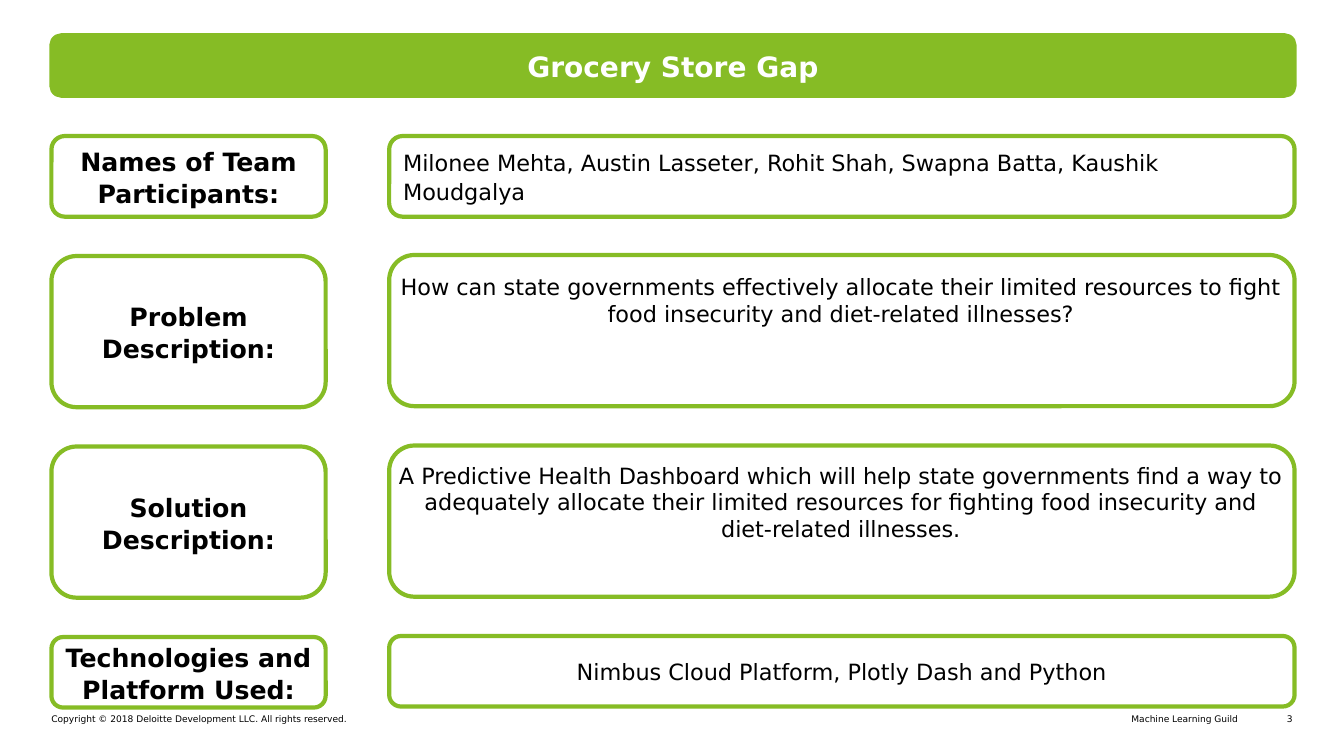
"""Builds the project summary slide of the Grocery Store Gap team."""
from pptx import Presentation
from pptx import util as u
from pptx.dml.color import RGBColor
from pptx.enum import shapes, text

LEFT, MID, RIGHT = text.PP_ALIGN.LEFT, text.PP_ALIGN.CENTER, text.PP_ALIGN.RIGHT


class Deck:
    """Holds the style and the current slide."""
    px = 9144
    face = "DejaVu Sans"
    hues = {"green": "86BC25", "white": "FFFFFF", "black": "000000"}

    def __init__(self, wide, high):
        self.prs = Presentation()
        self.prs.slide_width = self.px * wide
        self.prs.slide_height = self.px * high
        self.slide = self.prs.slides.add_slide(self.prs.slide_layouts[6])

    def hue(self, name):
        return RGBColor.from_string(self.hues[name])

    def area(self, *nums):
        return [n * self.px for n in nums]

    def label(self, shape, words, size, align, pad, hue="black", bold=False, space=None):
        frame = shape.text_frame
        frame.word_wrap = True
        frame.margin_left = frame.margin_right = pad * self.px
        frame.margin_top = frame.margin_bottom = pad * self.px
        para = frame.paragraphs[0]
        para.text = words
        para.alignment = align
        para.line_spacing = space
        font = para.font
        font.name, font.size, font.bold = self.face, u.Pt(size), bold
        font.color.rgb = self.hue(hue)

    def box(self, area, words="", size=16, align=MID, hue="black", bold=False, fill=None):
        kind = shapes.MSO_SHAPE.ROUNDED_RECTANGLE
        shape = self.slide.shapes.add_shape(kind, *self.area(*area))
        shape.shadow.inherit = False
        shape.line.color.rgb = self.hue("green")
        shape.line.width = u.Pt(3)
        if fill:
            shape.fill.solid()
            shape.fill.fore_color.rgb = self.hue(fill)
        else:
            shape.fill.background()
        if words:
            shape.text_frame.vertical_anchor = text.MSO_ANCHOR.MIDDLE
            self.label(shape, words, size, align, 10, hue, bold, 1.06)

    def note(self, area, words, size=16, align=MID):
        shape = self.slide.shapes.add_textbox(*self.area(*area))
        self.label(shape, words, size, align, 0)


def main():
    deck = Deck(1333, 750)
    deck.note((693, 708, 535, 11), "Machine Learning Guild", 6.5, RIGHT)
    deck.note((51, 708, 586, 11),
              "Copyright © 2018 Deloitte Development LLC. All rights reserved.", 6.5, LEFT)
    deck.note((1248, 708, 34, 11), "3", 6.5, RIGHT)
    deck.box((51, 35, 1233, 60), "Grocery Store Gap", 20, hue="white", bold=True, fill="green")

    rows = [
        ("Names of Team Participants:", 80, 0, LEFT,
         "Milonee Mehta, Austin Lasseter, Rohit Shah, Swapna Batta, Kaushik Moudgalya"),
        ("Problem Description:", 150, 18, MID,
         "How can state governments effectively allocate their limited resources to fight "
         "food insecurity and diet-related illnesses?"),
        ("Solution Description:", 150, 16, MID,
         "A Predictive Health Dashboard which will help state governments find a way to "
         "adequately allocate their limited resources for fighting food insecurity and "
         "diet-related illnesses."),
        ("Technologies and Platform Used:", 70, 0, MID,
         "Nimbus Cloud Platform, Plotly Dash and Python"),
    ]
    top, gap = 135, 39
    for i, (head, high, drop, align, words) in enumerate(rows):
        side = top - 1 if i else top
        deck.box((51, top, 272, high), head, 18, bold=True)
        deck.box((386, side, 898, high), "" if drop else words, align=align)
        if drop:
            deck.note((395, side + drop, 878, 81), words)
        top += high + gap
    deck.prs.save("out.pptx")


if __name__ == "__main__":
    main()
